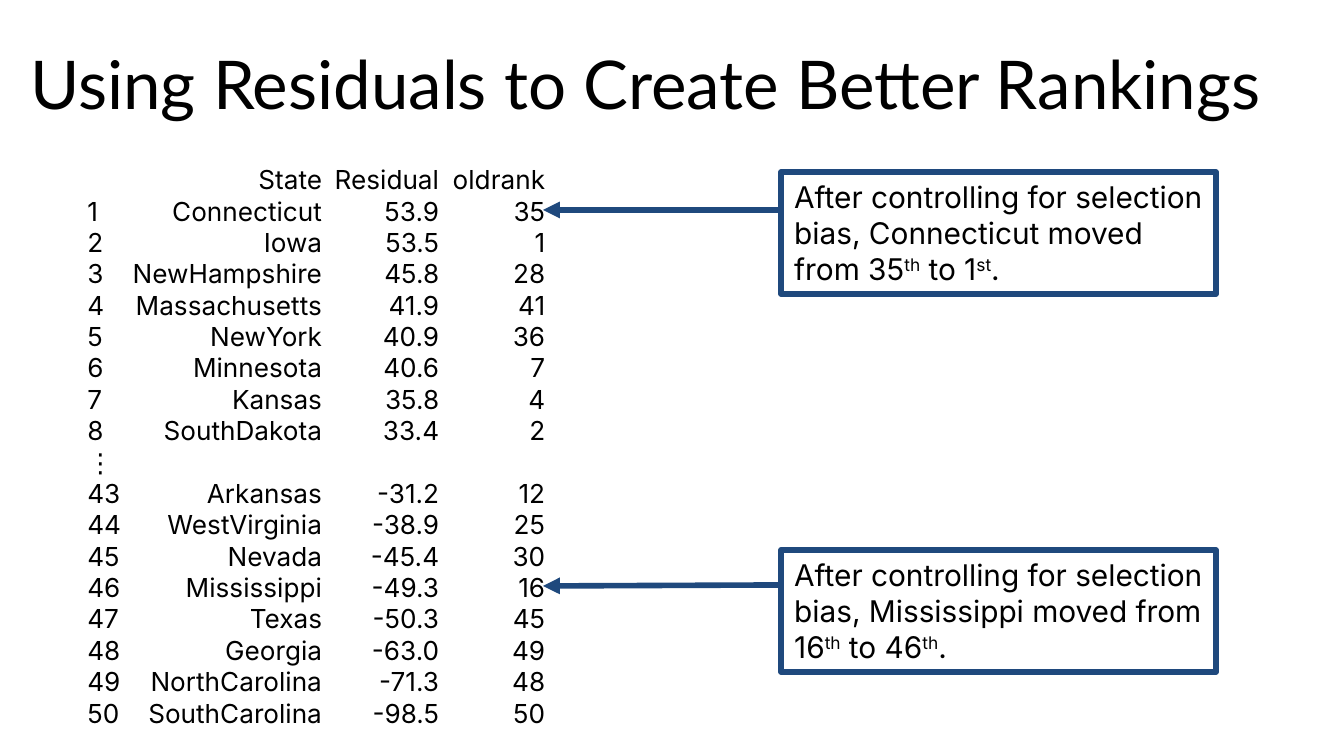
from dataclasses import dataclass

from lxml import etree
from pptx import Presentation, util as u
from pptx.dml.color import RGBColor
from pptx.enum import shapes, text
from pptx.oxml.ns import qn

PX = 914400 / 134.4


@dataclass(frozen=True)
class Theme:
    """Colours, fonts and type sizes."""
    ink: RGBColor = RGBColor(0, 0, 0)
    navy: RGBColor = RGBColor(0x1F, 0x49, 0x7D)
    head: str = "Lato"
    body: str = "Inter"
    big: int = 36
    mid: int = 16
    small: int = 14
    rule: int = 3


T = Theme()
ROWS = [
    ("", "State", "Residual", "oldrank"),
    (1, "Connecticut", "53.9", 35),
    (2, "Iowa", "53.5", 1),
    (3, "NewHampshire", "45.8", 28),
    (4, "Massachusetts", "41.9", 41),
    (5, "NewYork", "40.9", 36),
    (6, "Minnesota", "40.6", 7),
    (7, "Kansas", "35.8", 4),
    (8, "SouthDakota", "33.4", 2),
    ("⋮",),
    (43, "Arkansas", "-31.2", 12),
    (44, "WestVirginia", "-38.9", 25),
    (45, "Nevada", "-45.4", 30),
    (46, "Mississippi", "-49.3", 16),
    (47, "Texas", "-50.3", 45),
    (48, "Georgia", "-63.0", 49),
    (49, "NorthCarolina", "-71.3", 48),
    (50, "SouthCarolina", "-98.5", 50),
]
STOPS = (235, 352, 458)
NOTES = [
    ((781, 172, 435, 122), 38, 38,
     ["After controlling for selection bias, Connecticut moved from 35",
      "th", " to 1", "st", "."]),
    ((781, 550, 435, 122), 35, 36,
     ["After controlling for selection bias, Mississippi moved from 16",
      "th", " to 46", "th", "."]),
]
TIP = 543


def emu(*vals):
    """Turn pixels into EMU."""
    return [u.Emu(round(v * PX)) for v in vals]


def put(obj, **vals):
    """Set each given attribute."""
    for key, val in vals.items():
        setattr(obj, key, val)


def style(font, name, size):
    """Format a font in the ink colour."""
    put(font, name=name, size=u.Pt(size))
    font.color.rgb = T.ink


def stroke(line):
    """Give a line the navy rule."""
    line.color.rgb = T.navy
    line.width = u.Pt(T.rule)


def title(slide, box, words):
    """Fill and place the title placeholder."""
    shape = slide.shapes.title
    left, top, width, height = emu(*box)
    put(shape, left=left, top=top, width=width, height=height)
    frame = shape.text_frame
    frame.text = words
    put(frame, word_wrap=True, auto_size=text.MSO_AUTO_SIZE.NONE,
        vertical_anchor=text.MSO_ANCHOR.MIDDLE)
    par = frame.paragraphs[0]
    par.alignment = text.PP_ALIGN.LEFT
    style(par.runs[0].font, T.head, T.big)


def ranks(slide, box, rows):
    """List the rows in columns set by right tab stops."""
    frame = slide.shapes.add_textbox(*emu(*box)).text_frame
    frame.word_wrap = True
    for i, row in enumerate(rows):
        par = frame.add_paragraph() if i else frame.paragraphs[0]
        run = par.add_run()
        run.text = "\t".join(map(str, row))
        style(run.font, T.body, T.small)
        tabs = etree.SubElement(par._p.get_or_add_pPr(), qn("a:tabLst"))
        for pos in emu(*STOPS):
            etree.SubElement(tabs, qn("a:tab"), pos=str(pos), algn="r")


def note(slide, box, start, end, parts):
    """Draw a framed note and its arrow; every second part is raised."""
    left, top, width, height = box
    shape = slide.shapes.add_shape(shapes.MSO_SHAPE.RECTANGLE, *emu(*box))
    shape.shadow.inherit = False
    shape.fill.background()
    stroke(shape.line)
    frame = shape.text_frame
    put(frame, word_wrap=True, vertical_anchor=text.MSO_ANCHOR.TOP)
    par = frame.paragraphs[0]
    par.alignment = text.PP_ALIGN.LEFT
    for i, part in enumerate(parts):
        run = par.add_run()
        run.text = part
        style(run.font, T.body, T.mid)
        if i % 2:
            run.font._element.set("baseline", "30000")

    arrow = slide.shapes.add_connector(
        shapes.MSO_CONNECTOR.STRAIGHT,
        *emu(left, top + start, TIP, top + end))
    stroke(arrow.line)
    etree.SubElement(arrow.line._get_or_add_ln(), qn("a:tailEnd"),
                     type="triangle")
    etree.SubElement(arrow._element.spPr, qn("a:effectLst"))


def main():
    """Build the slide and save it."""
    deck = Presentation()
    deck.slide_width, deck.slide_height = emu(1344, 756)
    slide = deck.slides.add_slide(deck.slide_layouts[5])
    title(slide, (17, 34, 1306, 98),
          "Using Residuals to Create Better Rankings")
    ranks(slide, (74, 157, 593, 581), ROWS)
    for item in NOTES:
        note(slide, *item)
    deck.save("out.pptx")


main()
